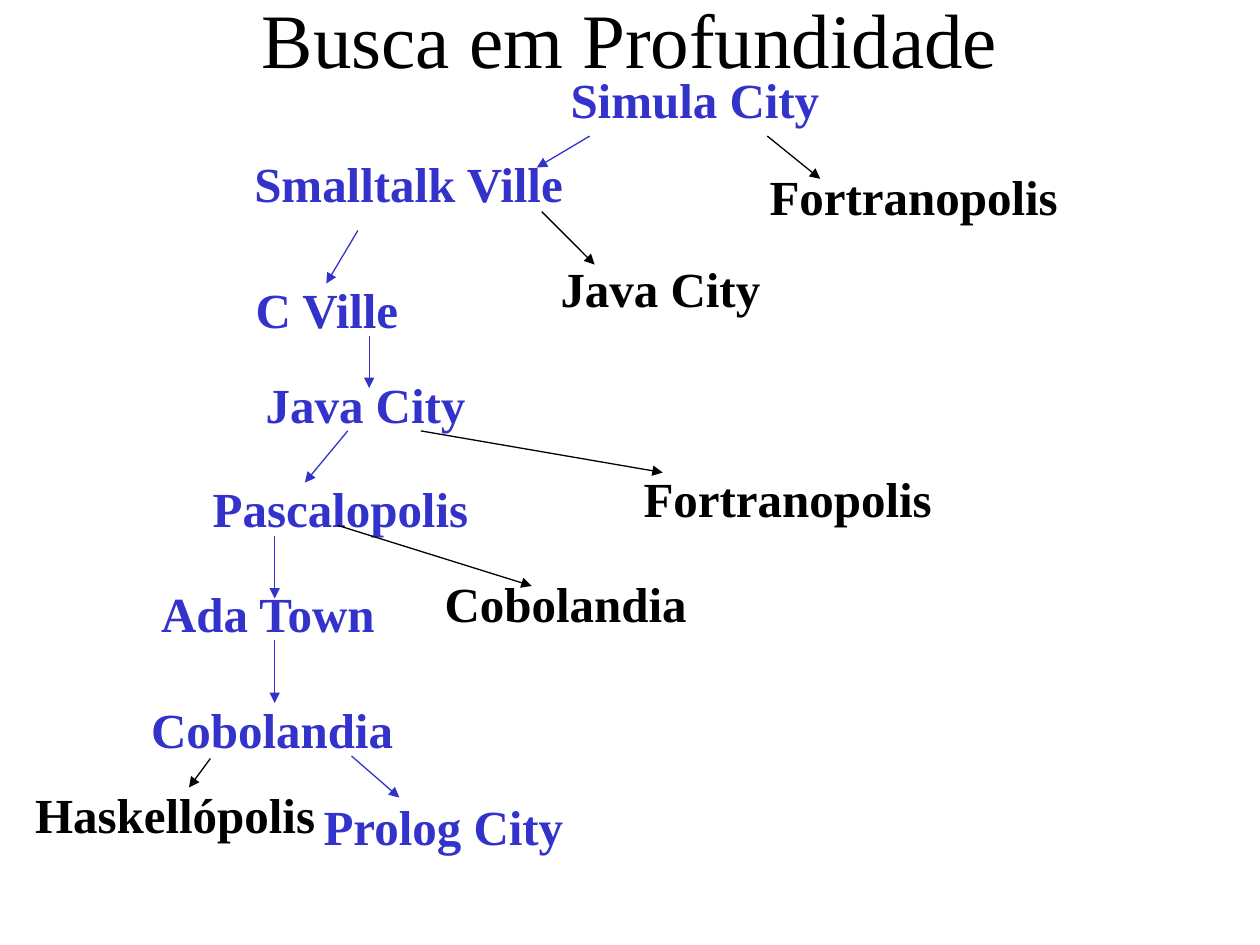
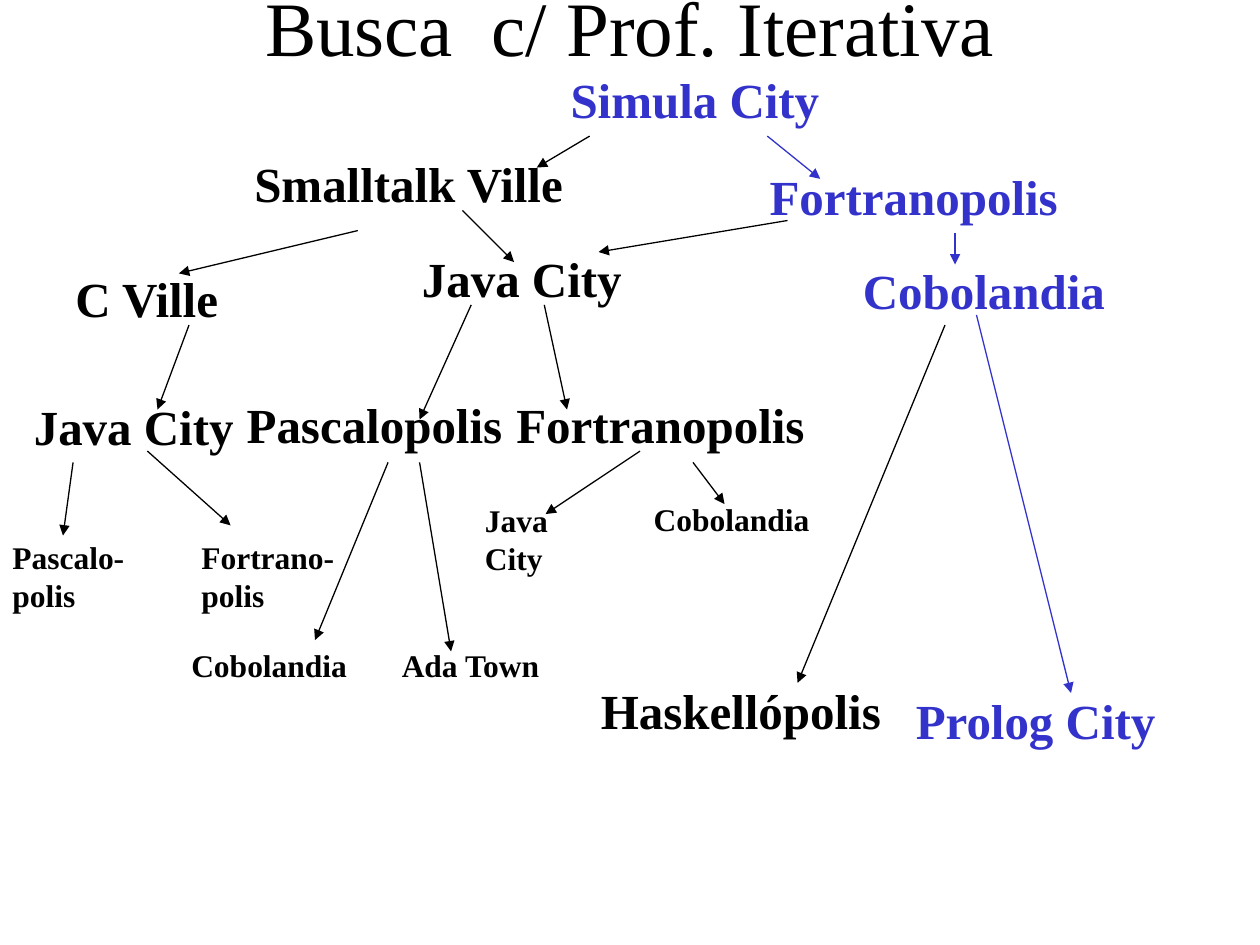
"""Draw two search trees of cities, with the route that was found in blue."""
import dataclasses

import lxml.etree
import pptx
import pptx.dml.color
import pptx.enum.shapes
import pptx.enum.text
import pptx.oxml.ns
import pptx.slide
import pptx.text.text
import pptx.util

EMU_PER_PX = 9144
PAGE_WIDTH, PAGE_HEIGHT = 1000, 750
FONT = "Times New Roman"
ROUTE, PLAIN = "3333CC", "000000"
TITLE_SIZE, LARGE, SMALL = 44, 28, 18
TITLE_LEFT, TITLE_HEIGHT = 75, 125
LINE_HEIGHT = {LARGE: 47, SMALL: 30}
PADDING = 10
RIGHT_INSET = 7
WIDTHS = {
    LARGE: {
        "Simula City": 217, "Smalltalk Ville": 267, "Fortranopolis": 248,
        "Pascalopolis": 223, "Haskellópolis": 242, "Prolog City": 211,
        "Ada Town": 194, "Java City": 178, "C Ville": 135, "Cobolandia": 212,
    },
    SMALL: {
        "Pascalo-\npolis": 109, "Fortrano-\npolis": 125, "Java\nCity": 70,
        "Cobolandia": 143, "Ada Town": 132,
    },
}


@dataclasses.dataclass(frozen=True)
class City:
    name: str
    left: int
    top: int
    color: str = PLAIN
    size: int = LARGE


@dataclasses.dataclass(frozen=True)
class Arrow:
    start: tuple[int, int]
    end: tuple[int, int]
    color: str = PLAIN


@dataclasses.dataclass(frozen=True)
class Tree:
    title: str
    title_top: int
    west_color: str
    east_color: str
    cities: list[City]
    arrows: list[Arrow]


DEPTH_FIRST = Tree(
    "Busca em Profundidade", -33, ROUTE, PLAIN,
    [
        City("Java City", 435, 200),
        City("C Ville", 193, 217, ROUTE),
        City("Java City", 201, 292, ROUTE),
        City("Pascalopolis", 159, 375, ROUTE),
        City("Fortranopolis", 501, 367),
        City("Ada Town", 118, 458, ROUTE),
        City("Cobolandia", 343, 450),
        City("Cobolandia", 110, 550, ROUTE),
        City("Haskellópolis", 18, 618),
        City("Prolog City", 247, 627, ROUTE),
    ],
    [
        Arrow((430, 168), (472, 210)),
        Arrow((284, 183), (259, 225), ROUTE),
        Arrow((293, 267), (293, 308), ROUTE),
        Arrow((276, 342), (242, 383), ROUTE),
        Arrow((334, 342), (526, 375)),
        Arrow((218, 425), (218, 475), ROUTE),
        Arrow((268, 417), (422, 465)),
        Arrow((218, 508), (218, 558), ROUTE),
        Arrow((167, 602), (150, 625)),
        Arrow((279, 600), (317, 633), ROUTE),
    ],
)

ITERATIVE = Tree(
    "Busca  c/ Prof. Iterativa", -42, PLAIN, ROUTE,
    [
        City("C Ville", 50, 208),
        City("Java City", 325, 192),
        City("Cobolandia", 675, 202, ROUTE),
        City("Java City", 17, 310),
        City("Pascalopolis", 186, 308),
        City("Fortranopolis", 400, 308),
        City("Pascalo-\npolis", 0, 422, size=SMALL),
        City("Fortrano-\npolis", 150, 422, size=SMALL),
        City("Cobolandia", 142, 508, size=SMALL),
        City("Ada Town", 309, 508, size=SMALL),
        City("Java\nCity", 375, 393, size=SMALL),
        City("Cobolandia", 509, 392, size=SMALL),
        City("Haskellópolis", 467, 535),
        City("Prolog City", 717, 543, ROUTE),
    ],
    [
        Arrow((284, 183), (142, 217)),
        Arrow((367, 167), (408, 208)),
        Arrow((625, 175), (475, 200)),
        Arrow((758, 185), (758, 210), ROUTE),
        Arrow((150, 258), (125, 325)),
        Arrow((374, 242), (333, 333)),
        Arrow((432, 242), (450, 325)),
        Arrow((58, 367), (50, 425)),
        Arrow((117, 358), (183, 417)),
        Arrow((308, 367), (250, 508)),
        Arrow((333, 367), (358, 517)),
        Arrow((508, 358), (433, 408)),
        Arrow((550, 367), (575, 400)),
        Arrow((750, 258), (633, 542)),
        Arrow((775, 250), (850, 550), ROUTE),
    ],
)


def px(length: int) -> pptx.util.Emu:
    return pptx.util.Emu(length * EMU_PER_PX)


def rgb(color: str) -> pptx.dml.color.RGBColor:
    return pptx.dml.color.RGBColor.from_string(color)


def write(frame: pptx.text.text.TextFrame, text: str, size: int, color: str,
          bold: bool, align: pptx.enum.text.PP_ALIGN) -> None:
    frame.text = text
    for para in frame.paragraphs:
        para.alignment = align
        para.font.name = FONT
        para.font.size = pptx.util.Pt(size)
        para.font.bold = bold
        para.font.color.rgb = rgb(color)


def draw_title(page: pptx.slide.Slide, title: str, top: int) -> None:
    box = page.shapes.add_textbox(
        px(TITLE_LEFT), px(top), px(PAGE_WIDTH - 2 * TITLE_LEFT), px(TITLE_HEIGHT))
    box.text_frame.word_wrap = True
    box.text_frame.vertical_anchor = pptx.enum.text.MSO_ANCHOR.MIDDLE
    write(box.text_frame, title, TITLE_SIZE, PLAIN, False, pptx.enum.text.PP_ALIGN.CENTER)


def draw_city(page: pptx.slide.Slide, city: City) -> None:
    lines = city.name.count("\n") + 1
    height = lines * LINE_HEIGHT[city.size] + PADDING
    box = page.shapes.add_textbox(
        px(city.left), px(city.top), px(WIDTHS[city.size][city.name]), px(height))
    box.text_frame.word_wrap = False
    box.text_frame.auto_size = pptx.enum.text.MSO_AUTO_SIZE.SHAPE_TO_FIT_TEXT
    box.text_frame.margin_right = px(RIGHT_INSET)
    write(box.text_frame, city.name, city.size, city.color, True,
          pptx.enum.text.PP_ALIGN.LEFT)


def draw_arrow(page: pptx.slide.Slide, arrow: Arrow) -> None:
    connector = page.shapes.add_connector(
        pptx.enum.shapes.MSO_CONNECTOR.STRAIGHT,
        *map(px, arrow.start), *map(px, arrow.end))
    connector.line.color.rgb = rgb(arrow.color)
    connector.line.width = pptx.util.Pt(0.75)
    properties = connector._element.spPr
    line = properties.find(pptx.oxml.ns.qn("a:ln"))
    lxml.etree.SubElement(line, pptx.oxml.ns.qn("a:tailEnd"), type="triangle")
    lxml.etree.SubElement(properties, pptx.oxml.ns.qn("a:effectLst"))


def draw_tree(page: pptx.slide.Slide, tree: Tree) -> None:
    draw_title(page, tree.title, tree.title_top)
    first_cities = [
        City("Simula City", 443, 50, ROUTE),
        City("Smalltalk Ville", 192, 117, tree.west_color),
        City("Fortranopolis", 601, 127, tree.east_color),
    ]
    first_arrows = [
        Arrow((468, 108), (426, 133), tree.west_color),
        Arrow((609, 108), (651, 142), tree.east_color),
    ]
    for city in first_cities + tree.cities:
        draw_city(page, city)
    for arrow in first_arrows + tree.arrows:
        draw_arrow(page, arrow)


def main() -> None:
    deck = pptx.Presentation()
    deck.slide_width, deck.slide_height = px(PAGE_WIDTH), px(PAGE_HEIGHT)
    for tree in (DEPTH_FIRST, ITERATIVE):
        draw_tree(deck.slides.add_slide(deck.slide_layouts[6]), tree)
    deck.save("out.pptx")


if __name__ == "__main__":
    main()
